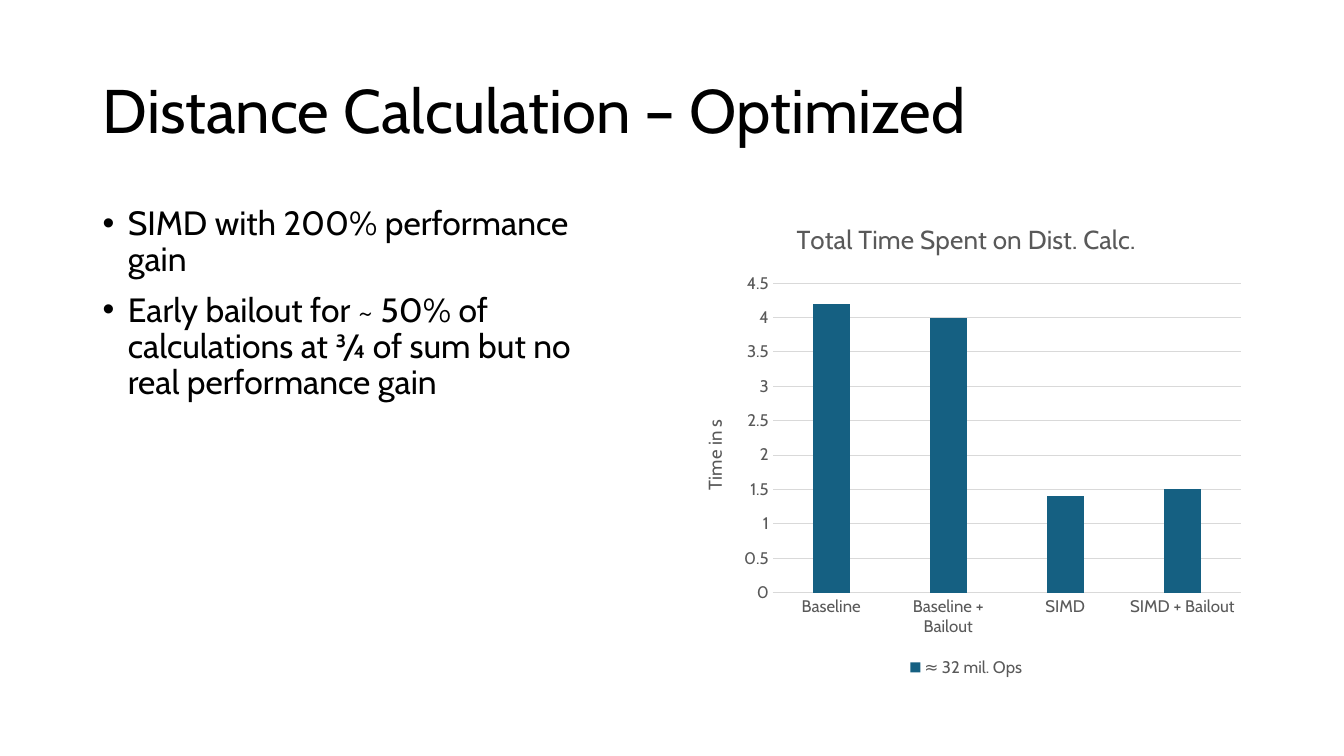
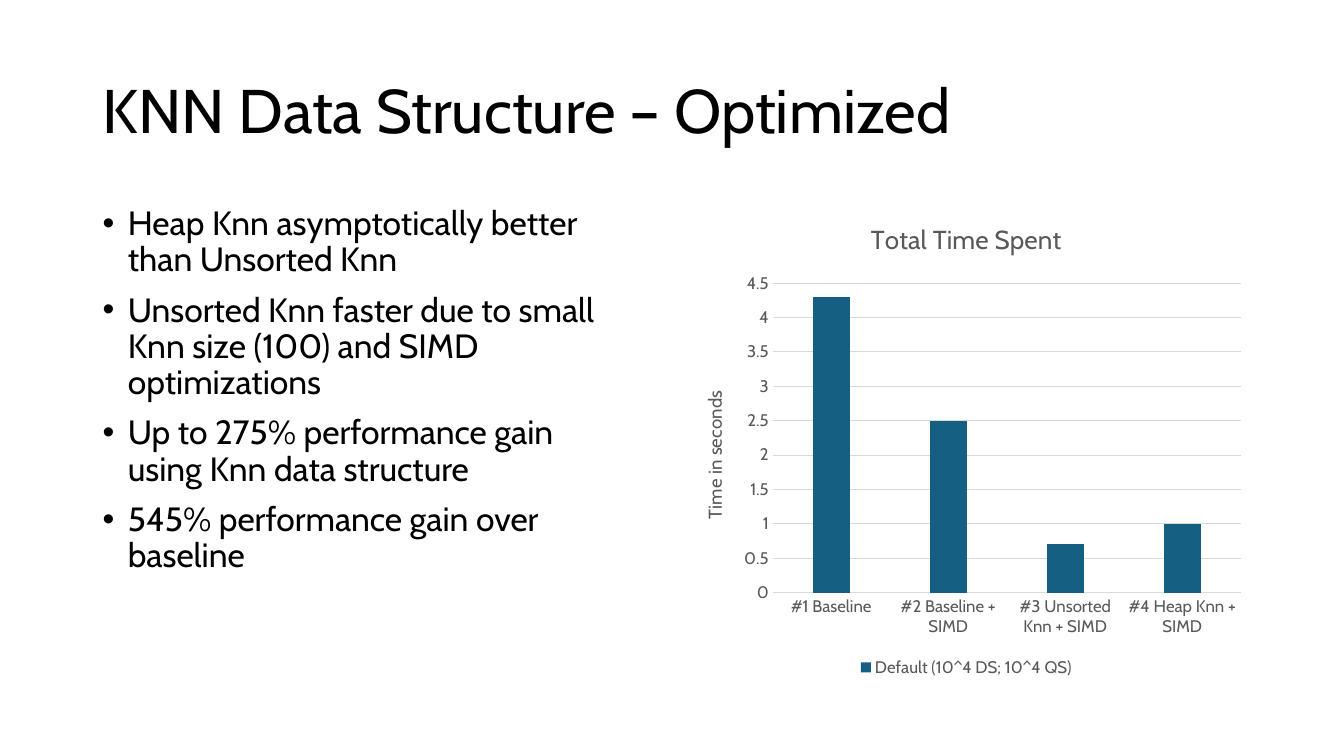
from dataclasses import dataclass
from lxml.etree import SubElement
from pptx import Presentation
from pptx.chart.data import CategoryChartData
from pptx.dml.color import RGBColor
from pptx.enum.chart import XL_CHART_TYPE as CHART, XL_LEGEND_POSITION as LEGEND, XL_TICK_MARK as TICK
from pptx.enum.text import MSO_ANCHOR as ANCHOR
from pptx.oxml.ns import qn
from pptx.util import Inches, Pt


@dataclass(frozen=True)
class Theme:
    font: str = "Cabin"
    text: RGBColor = RGBColor(0x00, 0x00, 0x00)
    label: RGBColor = RGBColor(0x59, 0x59, 0x59)
    grid: RGBColor = RGBColor(0xD9, 0xD9, 0xD9)
    bar: RGBColor = RGBColor(0x15, 0x60, 0x82)
    title_size: float = 44
    body_size: float = 24
    chart_title_size: float = 18.6
    axis_title_size: float = 13.3
    label_size: float = 12
    line_width: float = 0.75


T = Theme()
LEFT, TOP, COL_H = Inches(0.92), Inches(2), Inches(4.76)

SLIDES = [
    {
        "title": "Distance Calculation – Optimized",
        "bullets": [
            "SIMD with 200% performance gain",
            "Early bailout for ~ 50% of calculations at ¾ of sum but no real performance gain",
        ],
        "chart_title": "Total Time Spent on Dist. Calc.",
        "axis_title": "Time in s",
        "series": "≈ 32 mil. Ops",
        "values": {"Baseline": 4.2, "Baseline + Bailout": 4, "SIMD": 1.4, "SIMD + Bailout": 1.5},
    },
    {
        "title": "KNN Data Structure – Optimized",
        "bullets": [
            "Heap Knn asymptotically better than Unsorted Knn",
            "Unsorted Knn faster due to small Knn size (100) and SIMD optimizations",
            "Up to 275% performance gain using Knn data structure",
            "545% performance gain over baseline",
        ],
        "chart_title": "Total Time Spent",
        "axis_title": "Time in seconds",
        "series": "Default (10^4 DS; 10^4 QS)",
        "values": {
            "#1 Baseline": 4.3,
            "#2 Baseline + SIMD": 2.5,
            "#3 Unsorted Knn + SIMD": 0.7,
            "#4 Heap Knn + SIMD": 1,
        },
    },
]


def style_font(font, size, color):
    font.name, font.size, font.bold = T.font, Pt(size), False
    font.color.rgb = color


def add_run(p, text, size, color):
    r = p.add_run()
    r.text = text
    style_font(r.font, size, color)


prs = Presentation()
prs.slide_width, prs.slide_height = Inches(13.33), Inches(7.5)

for content in SLIDES:
    s = prs.slides.add_slide(prs.slide_layouts[6])

    tf = s.shapes.add_textbox(LEFT, Inches(0.4), Inches(11.5), Inches(1.45)).text_frame
    tf.word_wrap = True
    tf.vertical_anchor = ANCHOR.MIDDLE
    p = tf.paragraphs[0]
    p.line_spacing = 0.9
    add_run(p, content["title"], T.title_size, T.text)

    data = CategoryChartData()
    data.categories = content["values"].keys()
    data.add_series(content["series"], content["values"].values())
    chart = s.shapes.add_chart(
        CHART.COLUMN_CLUSTERED, Inches(6.75), TOP, Inches(5.67), COL_H, data
    ).chart
    style_font(chart.font, T.label_size, T.label)

    chart.has_title = True
    chart.chart_title.include_in_layout = False
    add_run(chart.chart_title.text_frame.paragraphs[0], content["chart_title"], T.chart_title_size, T.label)

    chart.has_legend = True
    chart.legend.position = LEGEND.BOTTOM
    chart.legend.include_in_layout = False
    style_font(chart.legend.font, T.label_size, T.label)

    plot = chart.plots[0]
    plot.vary_by_categories = False
    plot.gap_width, plot.overlap = 219, -27
    fill = plot.series[0].format.fill
    fill.solid()
    fill.fore_color.rgb = T.bar

    cat_axis, val_axis = chart.category_axis, chart.value_axis
    for axis in (cat_axis, val_axis):
        axis.major_tick_mark = axis.minor_tick_mark = TICK.NONE
        style_font(axis.tick_labels.font, T.label_size, T.label)
    val_axis.minimum_scale, val_axis.maximum_scale, val_axis.major_unit = 0, 4.5, 0.5
    val_axis.format.line.fill.background()
    for line in (cat_axis.format.line, val_axis.major_gridlines.format.line):
        line.color.rgb = T.grid
        line.width = Pt(T.line_width)
    add_run(val_axis.axis_title.text_frame.paragraphs[0], content["axis_title"], T.axis_title_size, T.label)

    tf = s.shapes.add_textbox(LEFT, TOP, Inches(5.26), COL_H).text_frame
    tf.word_wrap = True
    for i, bullet in enumerate(content["bullets"]):
        p = tf.add_paragraph() if i else tf.paragraphs[0]
        p.line_spacing = 0.9
        p.space_before = Pt(10)
        pPr = p._p.get_or_add_pPr()
        pPr.set("marL", str(Inches(0.25)))
        pPr.set("indent", str(-Inches(0.25)))
        SubElement(pPr, qn("a:buFont"), typeface="Arial")
        SubElement(pPr, qn("a:buChar"), char="•")
        add_run(p, bullet, T.body_size, T.text)

prs.save("out.pptx")
